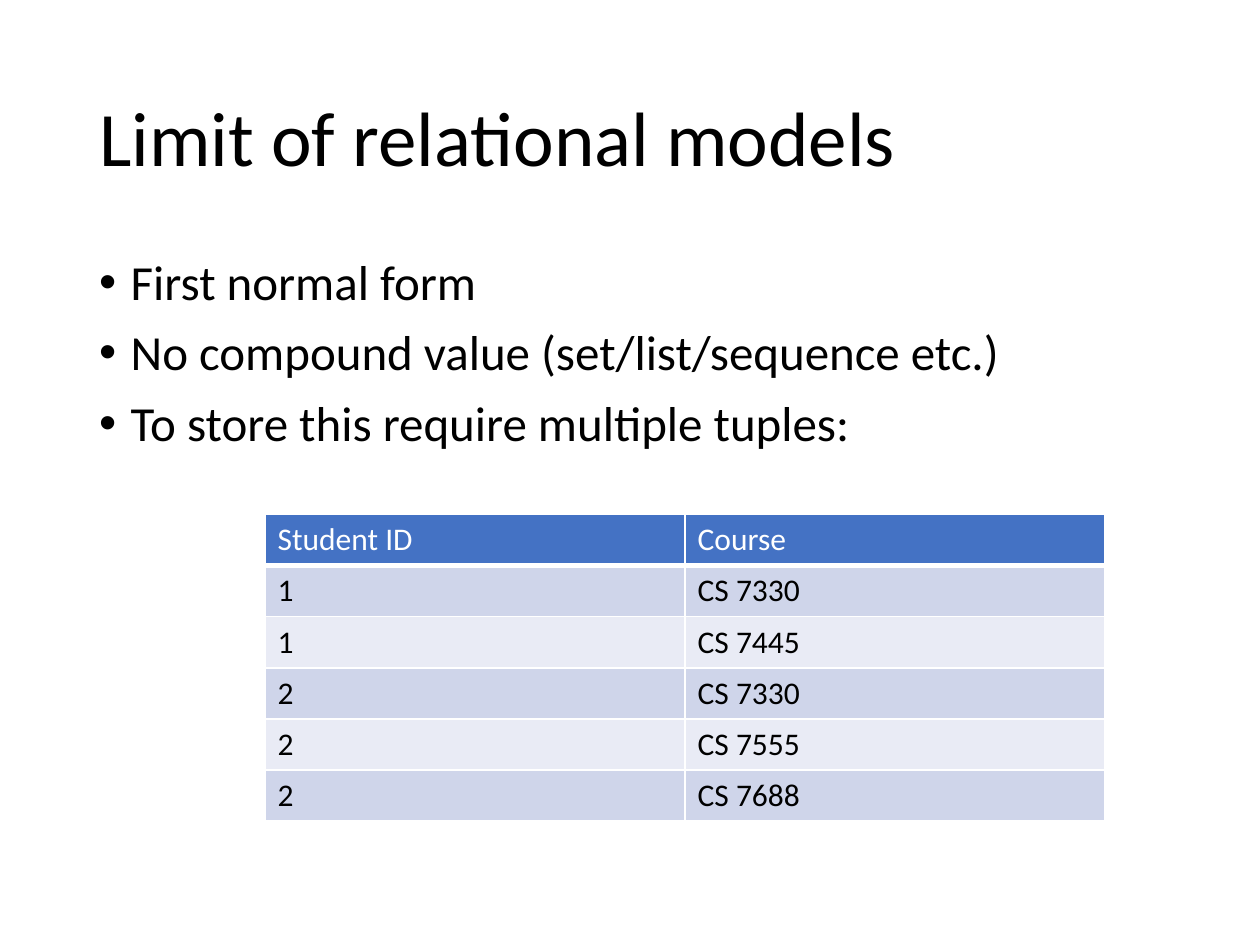
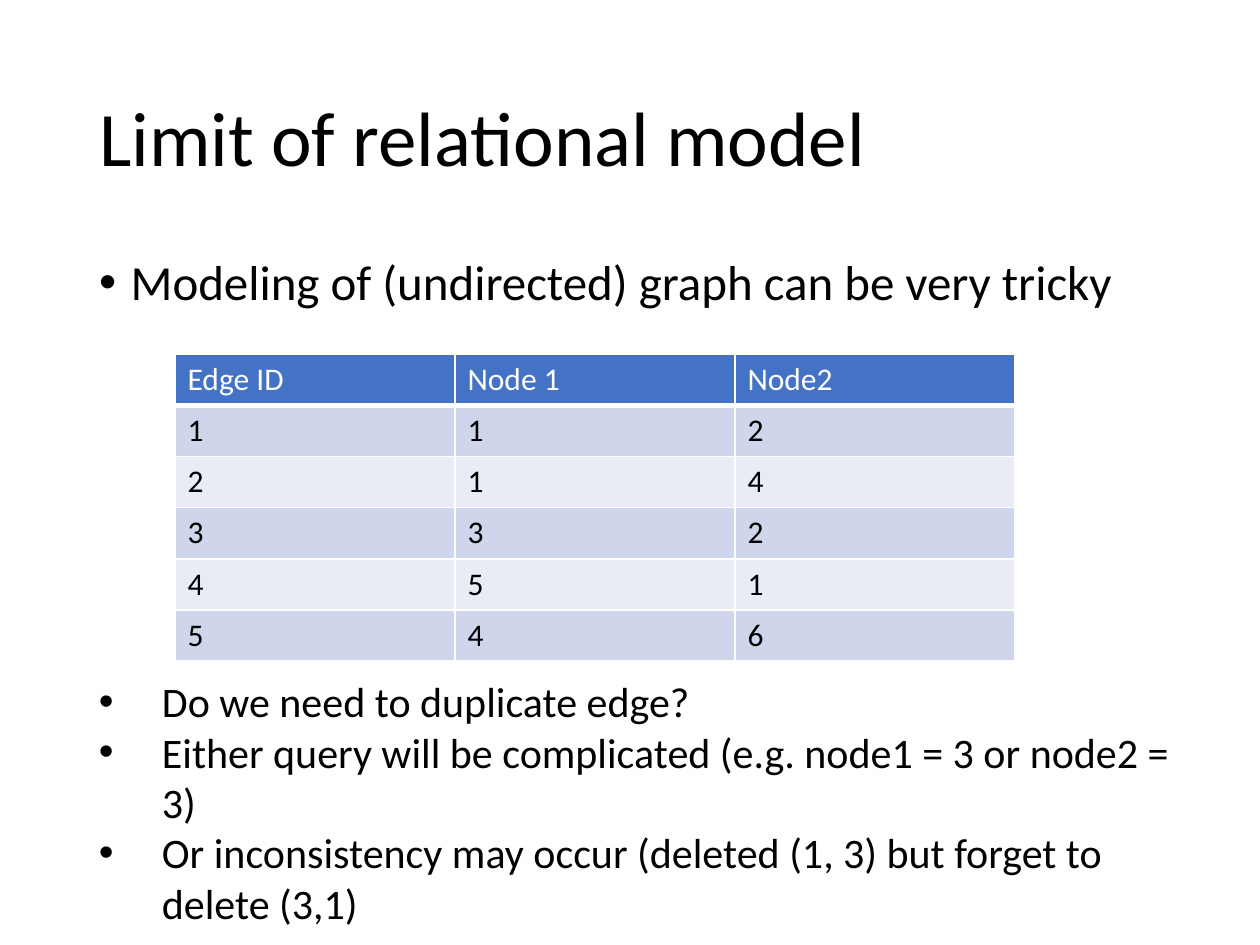
import pptx
import pptx.dml.color
import pptx.enum.text
import pptx.oxml
import pptx.oxml.ns
import pptx.util
import lxml.etree

Pt = pptx.util.Pt
ANCHOR = pptx.enum.text.MSO_ANCHOR
AUTOSIZE = pptx.enum.text.MSO_AUTO_SIZE
LEFT = pptx.enum.text.PP_ALIGN.LEFT

FONT = "Calibri"
INK = "000000"
PAPER = "FFFFFF"
HEADER_FILL = "4472C4"
BAND_FILLS = ("CFD5EA", "E9EBF5")
ROW_HEIGHT = 29.2

TITLE_BOX = (49.5, 28.75, 621, 104.4)
TITLE_FORMAT = {"line_spacing": 0.9, "alignment": LEFT}
POINT_FORMAT = {"line_spacing": 0.9, "space_before": Pt(10), "alignment": LEFT}
REMARK_FORMAT = {"line_spacing": 1.0, "space_before": Pt(0), "alignment": LEFT}


def rgb(value):
    return pptx.dml.color.RGBColor.from_string(value)


def apply(target, formats):
    for name, value in formats.items():
        setattr(target, name, value)


def place(shape, box):
    apply(shape, dict(zip(("left", "top", "width", "height"), map(Pt, box))))


def write(paragraph, text, size, color=INK):
    run = paragraph.add_run()
    run.text = text
    apply(run.font, {"name": FONT, "size": Pt(size), "bold": False})
    run.font.color.rgb = rgb(color)


def add_bullet(paragraph, indent):
    properties = paragraph._p.get_or_add_pPr()
    properties.set("marL", str(Pt(indent)))
    properties.set("indent", str(-Pt(indent)))
    for tag, key, value in (("a:buFont", "typeface", "Arial"), ("a:buChar", "char", "•")):
        mark = lxml.etree.SubElement(properties, pptx.oxml.ns.qn(tag))
        mark.set(key, value)


def write_list(frame, lines, size, indent, formats):
    for number, line in enumerate(lines):
        paragraph = frame.add_paragraph() if number else frame.paragraphs[0]
        apply(paragraph, formats)
        add_bullet(paragraph, indent)
        write(paragraph, line, size)


def add_heading(slide, text, box):
    heading = slide.shapes.title
    place(heading, box)
    apply(heading.text_frame, {"vertical_anchor": ANCHOR.MIDDLE, "auto_size": AUTOSIZE.NONE})
    paragraph = heading.text_frame.paragraphs[0]
    apply(paragraph, TITLE_FORMAT)
    write(paragraph, text, 44)


def add_points(slide, lines, box):
    points = slide.placeholders[1]
    place(points, box)
    points.text_frame.auto_size = AUTOSIZE.NONE
    write_list(points.text_frame, lines, 28, 18, POINT_FORMAT)


def add_remarks(slide, lines, box):
    remarks = slide.shapes.add_textbox(*map(Pt, box))
    apply(remarks.text_frame, {"word_wrap": True, "auto_size": AUTOSIZE.SHAPE_TO_FIT_TEXT})
    write_list(remarks.text_frame, lines, 24, 36, REMARK_FORMAT)


def add_borders(cell, widths):
    properties = cell._tc.get_or_add_tcPr()
    for side, width in zip("LRTB", widths):
        properties.append(pptx.oxml.parse_xml(
            f'<a:ln{side} {pptx.oxml.ns.nsdecls("a")} w="{Pt(width)}">'
            f'<a:solidFill><a:srgbClr val="{PAPER}"/></a:solidFill></a:ln{side}>'))


def add_relation(slide, rows, left, top, width):
    columns = len(rows[0])
    box = (left, top, width, ROW_HEIGHT * len(rows))
    relation = slide.shapes.add_table(len(rows), columns, *map(Pt, box)).table
    for column in relation.columns:
        column.width = Pt(width / columns)
    for row_number, values in enumerate(rows):
        relation.rows[row_number].height = Pt(ROW_HEIGHT)
        is_header = row_number == 0
        fill = HEADER_FILL if is_header else BAND_FILLS[(row_number - 1) % 2]
        for column_number, value in enumerate(values):
            cell = relation.cell(row_number, column_number)
            add_borders(cell, (1, 1, 1, 3 if is_header else 1))
            cell.fill.solid()
            cell.fill.fore_color.rgb = rgb(fill)
            write(cell.text_frame.paragraphs[0], value, 18, PAPER if is_header else INK)


def add_topic(deck, heading, points, points_height):
    slide = deck.slides.add_slide(deck.slide_layouts[1])
    add_heading(slide, heading, TITLE_BOX)
    add_points(slide, points, (49.5, 143.75, 621, points_height))
    return slide


deck = pptx.Presentation()
apply(deck, {"slide_width": Pt(720), "slide_height": Pt(540)})

normal_form = add_topic(deck, "Limit of relational models", (
    "First normal form",
    "No compound value (set/list/sequence etc.)",
    "To store this require multiple tuples:",
), 139.7)
add_relation(normal_form, (
    ("Student ID", "Course"),
    ("1", "CS 7330"),
    ("1", "CS 7445"),
    ("2", "CS 7330"),
    ("2", "CS 7555"),
    ("2", "CS 7688"),
), 151.5, 294, 480)

graph = add_topic(deck, "Limit of relational model", (
    "Modeling of (undirected) graph can be very tricky",
), 342.6)
add_relation(graph, (
    ("Edge ID", "Node 1", "Node2"),
    ("1", "1", "2"),
    ("2", "1", "4"),
    ("3", "3", "2"),
    ("4", "5", "1"),
    ("5", "4", "6"),
), 100, 202.5, 480)
add_remarks(graph, (
    "Do we need to duplicate edge?",
    "Either query will be complicated (e.g. node1 = 3 or node2 = 3)",
    "Or inconsistency may occur (deleted (1, 3) but forget to delete (3,1)",
), (49.5, 382.5, 647.5, 152.6))

deck.save("out.pptx")
